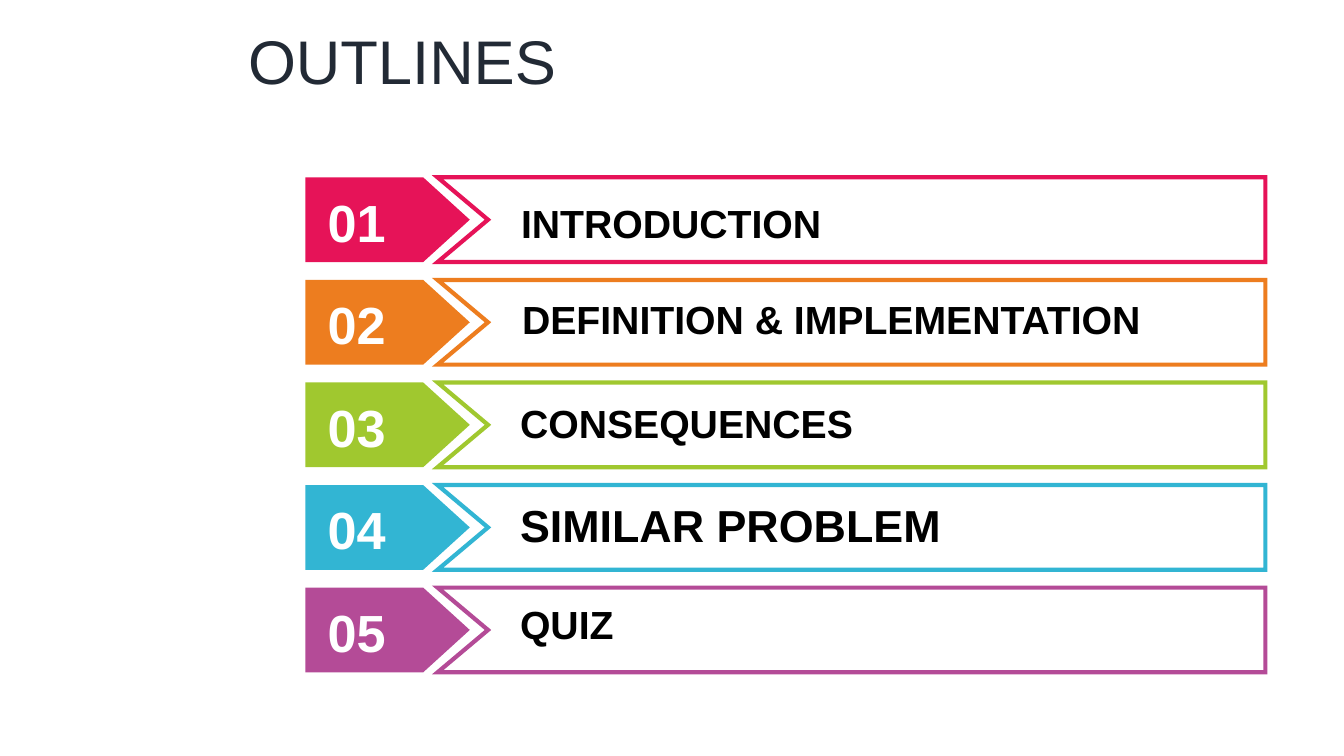
from lxml import etree
from pptx import Presentation
from pptx.dml.color import RGBColor
from pptx.enum import shapes, text
from pptx.oxml import ns
from pptx.util import Inches, Pt

TITLE = "OUTLINES"
SECTIONS = [
    ("INTRODUCTION", "E61358", 28, 5.07, 1.93, 0.57),
    ("DEFINITION & IMPLEMENTATION", "ED7D1F", 28, 5.08, 2.88, 0.57),
    ("CONSEQUENCES", "A0C82F", 28, 5.06, 3.91, 0.57),
    ("SIMILAR PROBLEM", "32B5D3", 32, 5.06, 4.89, 0.64),
    ("QUIZ", "B44B97", 28, 5.06, 5.91, 0.57),
]
FIRST_TOP, LAST_TOP = 1.76, 5.83
ROW_HEIGHT = 0.84
BANNER_LEFT, BANNER_RIGHT, NOTCH = 4.34, 12.55, 0.5
TITLE_FORMAT = {"name": "Arial", "size": Pt(44), "bold": False}
NUMBER_FORMAT = {"name": "Arial", "size": Pt(37.3), "bold": True}


def color(value):
    return RGBColor.from_string(value)


def write(frame, content, font_format, font_color):
    paragraph = frame.paragraphs[0]
    paragraph.alignment = text.PP_ALIGN.LEFT
    run = paragraph.add_run()
    run.text = content
    for name, value in font_format.items():
        setattr(run.font, name, value)
    run.font.color.rgb = color(font_color)
    return paragraph


def add_label(slide, box, content, font_format, font_color, frame_format):
    label = slide.shapes.add_textbox(*map(Inches, box))
    frame = label.text_frame
    frame.word_wrap = True
    frame.auto_size = text.MSO_AUTO_SIZE.SHAPE_TO_FIT_TEXT
    for name, value in frame_format.items():
        setattr(frame, name, value)
    write(frame, content, font_format, font_color)


def add_arrow(slide, top, fill):
    arrow = slide.shapes.add_shape(
        shapes.MSO_SHAPE.PENTAGON, *map(Inches, (3.03, top, 1.63, ROW_HEIGHT)))
    arrow.adjustments[0] = 0.55
    arrow.shadow.inherit = False
    arrow.fill.solid()
    arrow.fill.fore_color.rgb = color(fill)
    arrow.line.fill.background()


def add_banner(slide, top, outline):
    bottom = top + ROW_HEIGHT
    corners = [(BANNER_RIGHT, top), (BANNER_RIGHT, bottom), (BANNER_LEFT, bottom),
               (BANNER_LEFT + NOTCH, top + ROW_HEIGHT / 2)]
    builder = slide.shapes.build_freeform(Inches(BANNER_LEFT), Inches(top))
    builder.add_line_segments([(Inches(x), Inches(y)) for x, y in corners], close=True)
    banner = builder.convert_to_shape()
    banner.shadow.inherit = False
    banner.fill.solid()
    banner.fill.fore_color.rgb = color("FFFFFF")
    banner.line.color.rgb = color(outline)
    banner.line.width = Pt(3)
    line = banner.element.spPr.find(ns.qn("a:ln"))
    etree.SubElement(line, ns.qn("a:miter"), lim="800000")


def add_title(slide):
    title = slide.shapes.title
    title.left, title.top, title.width, title.height = map(Inches, (2.36, 0, 10.97, 1.29))
    title.text_frame.vertical_anchor = text.MSO_ANCHOR.MIDDLE
    paragraph = write(title.text_frame, TITLE, TITLE_FORMAT, "222A35")
    paragraph.line_spacing = 0.9


def main():
    presentation = Presentation()
    presentation.slide_width, presentation.slide_height = Inches(13.33), Inches(7.5)
    slide = presentation.slides.add_slide(presentation.slide_layouts[5])
    add_title(slide)
    pitch = (LAST_TOP - FIRST_TOP) / (len(SECTIONS) - 1)
    number_frame = {"vertical_anchor": text.MSO_ANCHOR.MIDDLE,
                    "margin_top": 0, "margin_bottom": 0}
    for index, (name, accent, size, left, label_top, height) in enumerate(SECTIONS):
        top = FIRST_TOP + index * pitch
        add_arrow(slide, top, accent)
        add_banner(slide, top, accent)
        add_label(slide, (3.15, top + 0.12, 0.88, 0.63), f"{index + 1:02}",
                  NUMBER_FORMAT, "FFFFFF", number_frame)
        add_label(slide, (left, label_top, 7.07, height), name,
                  {"name": "Arial", "size": Pt(size), "bold": True}, "000000", {})
    presentation.save("out.pptx")


if __name__ == "__main__":
    main()
